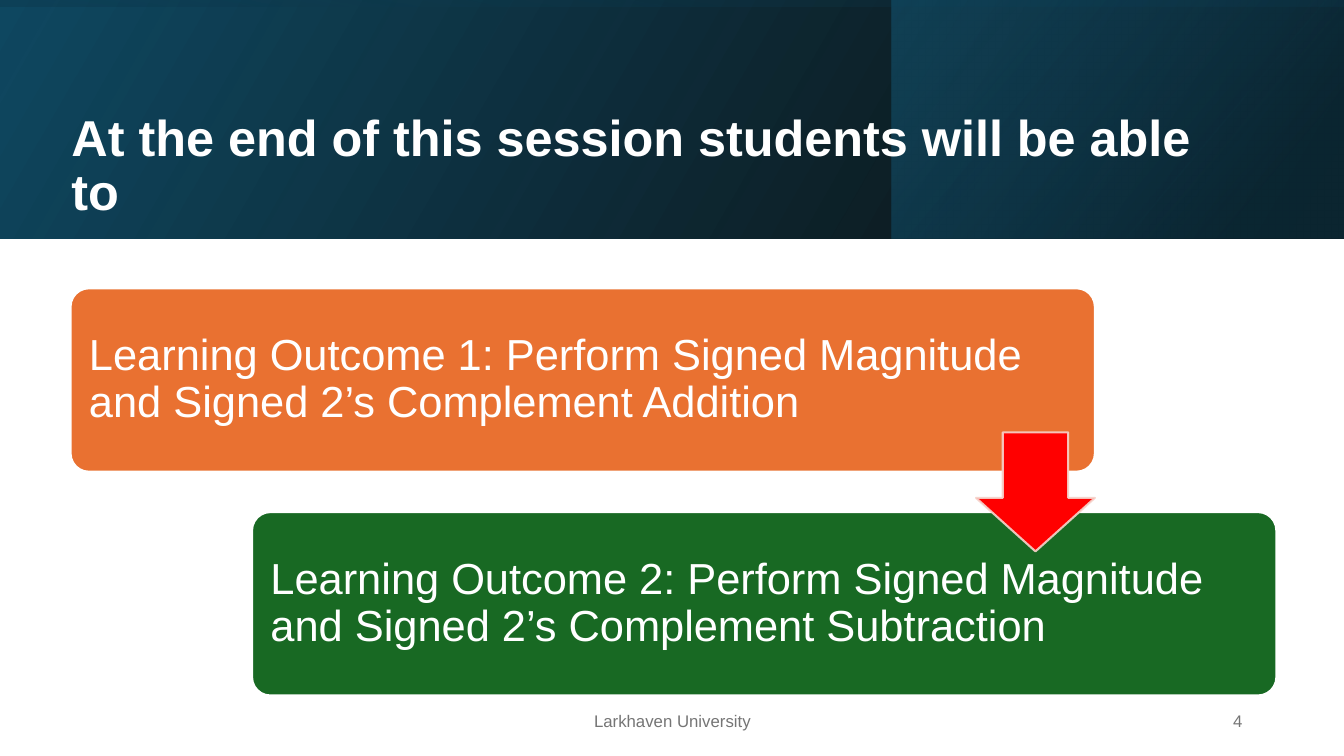
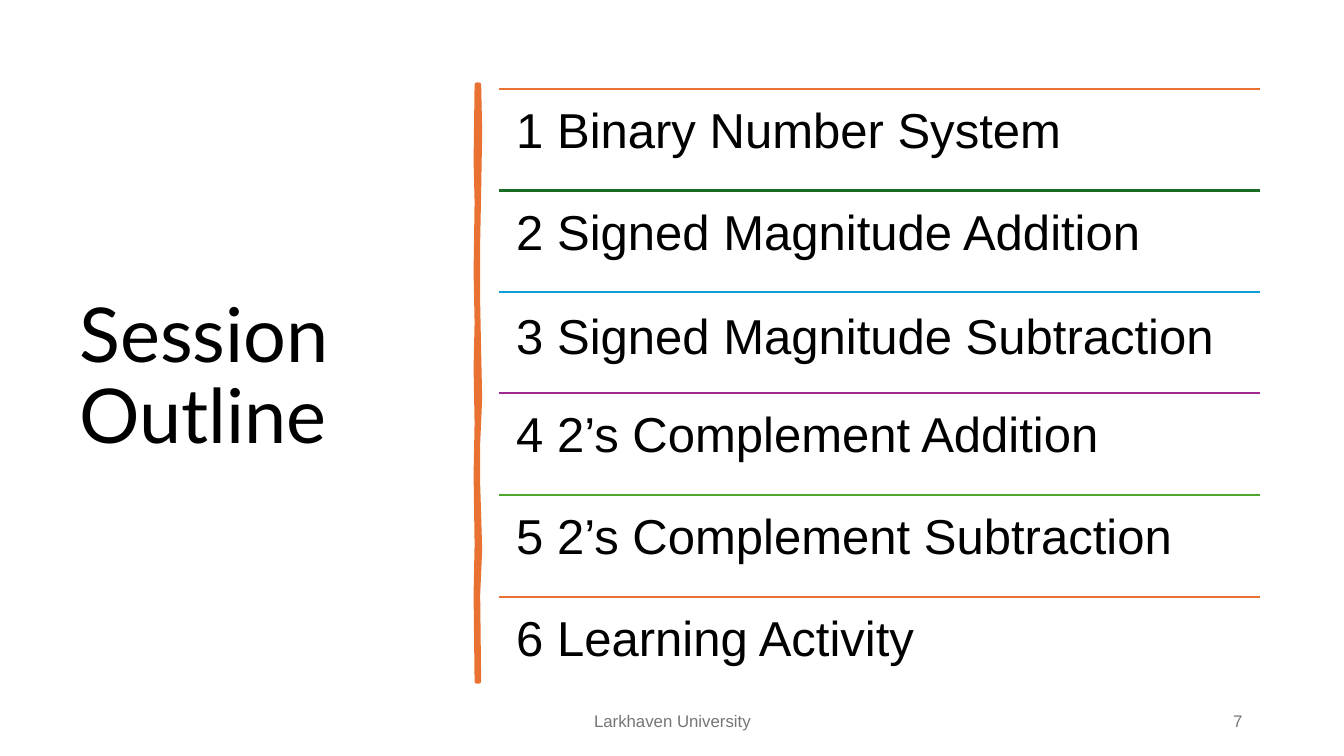
from pptx import Presentation
from pptx import util as u
from pptx.dml.color import RGBColor
from pptx.enum import shapes, text
from pptx.oxml import parse_xml
from pptx.oxml.ns import nsdecls, qn

PX = 9144
WIDE, HIGH = 1333, 750
WHITE, BLACK, GREY = "FFFFFF", "000000", "757575"
NAVY, DEEP, TEAL = "0F4861", "0A3041", "156082"
FLAME, FERN, RED, BLUSH = "E97131", "186923", "FF0000", "F6D4CC"
RULES = [FLAME, "176B22", "0C9ED5", "A02891", "4EA62C", FLAME]
SANS, HEAD = "Arial", "Lato"
FORM = shapes.MSO_SHAPE
SIDE = text.PP_ALIGN
MID, TOP = text.MSO_ANCHOR.MIDDLE, text.MSO_ANCHOR.TOP
OWNER = "Larkhaven University"

GOALS = [
    (70, 286, FLAME, "Learning Outcome 1: Perform Signed Magnitude and Signed 2’s Complement Addition"),
    (250, 508, FERN, "Learning Outcome 2: Perform Signed Magnitude and Signed 2’s Complement Subtraction"),
]
TOPICS = [
    ("1 Binary Number System", 0),
    ("2 Signed Magnitude Addition", 0),
    ("3 Signed Magnitude Subtraction", 3),
    ("4 2’s Complement Addition", 0),
    ("5 2’s Complement Subtraction", 0),
    ("6 Learning Activity", 0),
]
RIGHT = [(475, 84), (476, 130), (475, 190), (474, 240), (474, 300), (475, 350),
         (476, 395), (474, 440), (474, 480), (476, 545), (474, 590), (475, 676)]
LEFT = [(473, 676), (472, 590), (473, 540), (472, 470), (473, 420), (472, 365),
        (473, 320), (472, 270), (473, 200), (472, 160), (473, 84)]


def emu(*sizes):
    return [u.Emu(size * PX) for size in sizes]


def tint(code):
    return RGBColor.from_string(code)


def write(shape, words, size, hue, font=SANS, bold=False, side=SIDE.LEFT,
          lead=0.9, anchor=MID, pad=(10, 5)):
    frame = shape.text_frame
    frame.word_wrap = True
    frame.vertical_anchor = anchor
    frame.margin_left = frame.margin_right = u.Emu(pad[0] * PX)
    frame.margin_top = frame.margin_bottom = u.Emu(pad[1] * PX)
    frame.text = words
    para = frame.paragraphs[0]
    para.alignment, para.line_spacing = side, lead
    face = para.runs[0].font
    face.name, face.size, face.bold = font, u.Pt(size), bold
    face.color.rgb = tint(hue)


def label(slide, box, words, size, hue, **style):
    write(slide.shapes.add_textbox(*emu(*box)), words, size, hue, **style)


def paint(shape, fill, edge=None, width=1.5):
    shape.shadow.inherit = False
    shape.fill.solid()
    shape.fill.fore_color.rgb = tint(fill)
    if edge:
        shape.line.color.rgb = tint(edge)
        shape.line.width = u.Pt(width)
    else:
        shape.line.fill.background()


def block(slide, form, box, fill, edge, *bends):
    shape = slide.shapes.add_shape(form, *emu(*box))
    for spot, bend in enumerate(bends):
        shape.adjustments[spot] = bend
    paint(shape, fill, edge)
    return shape


def shade(slide, box, angle, stops, turn=0):
    shape = block(slide, FORM.RECTANGLE, box, NAVY, None)
    shape.rotation = turn
    props = shape.element.spPr
    props.xfrm.set("flipH", "1")
    marks = "".join(
        f'<a:gs pos="{spot * 1000}"><a:srgbClr val="{hue}">'
        f'<a:alpha val="{alpha * 1000}"/></a:srgbClr></a:gs>'
        for spot, hue, alpha in stops)
    blend = parse_xml(
        f'<a:gradFill {nsdecls("a")} rotWithShape="1"><a:gsLst>{marks}</a:gsLst>'
        f'<a:lin ang="{angle * 60000}" scaled="0"/></a:gradFill>')
    props.replace(props.find(qn("a:solidFill")), blend)


def rule(slide, left, top, right, hue):
    line = slide.shapes.add_connector(
        shapes.MSO_CONNECTOR.STRAIGHT, *emu(left, top, right, top))
    line.line.color.rgb = tint(hue)
    line.line.width = u.Pt(1.5)
    line.element.spPr.append(parse_xml(f'<a:effectLst {nsdecls("a")}/>'))


def brush(slide):
    pen = slide.shapes.build_freeform(*RIGHT[0], scale=float(PX))
    pen.add_line_segments(RIGHT[1:] + LEFT, close=True)
    stroke = pen.convert_to_shape()
    paint(stroke, "E97132", "E97132", 3.25)
    stroke.line._get_or_add_ln().append(parse_xml(f'<a:round {nsdecls("a")}/>'))


def foot(slide, page):
    label(slide, (442, 695, 450, 40), OWNER, 12, GREY, side=SIDE.CENTER, lead=1.0)
    label(slide, (942, 695, 300, 40), page, 12, GREY, side=SIDE.RIGHT, lead=1.0)


def band(slide):
    tall = 237
    shade(slide, (0, 0, WIDE, tall), 330, [(0, BLACK, 95), (100, NAVY, 100)])
    shade(slide, (884, 0, 449, tall), 320,
          [(0, DEEP, 67), (19, DEEP, 67), (100, TEAL, 47)])
    shift = (WIDE - tall) // 2
    shade(slide, (shift, -shift, tall, WIDE), 350,
          [(0, NAVY, 15), (23, NAVY, 15), (99, BLACK, 44), (100, BLACK, 44)], 270)


def goals(slide):
    band(slide)
    label(slide, (61, 121, 1153, 90),
          "At the end of this session students will be able to", 36, WHITE, bold=True)
    for left, top, fill, words in GOALS:
        card = block(slide, FORM.ROUNDED_RECTANGLE, (left, top, 1016, 182),
                     fill, WHITE, 0.1)
        write(card, words, 31, WHITE, pad=(13, 13))
    arrow = block(slide, FORM.DOWN_ARROW, (968, 429, 118, 118), RED, BLUSH, 0.55, 0.45)
    edge = arrow.element.spPr.find(qn("a:ln")).find(".//" + qn("a:srgbClr"))
    edge.append(parse_xml(f'<a:alpha {nsdecls("a")} val="89000"/>'))
    foot(slide, "4")


def outline(slide):
    label(slide, (69, 70, 374, 611), "Session Outline", 54, BLACK, font=HEAD)
    brush(slide)
    left, wide, first, step = 495, 755, 88, 100.8
    for row, ((words, drop), hue) in enumerate(zip(TOPICS, RULES)):
        top = first + round(row * step)
        rule(slide, left, top, left + wide, hue)
        label(slide, (left, top + drop, wide, 101), words, 35, BLACK,
              anchor=TOP, pad=(17, 17))
    foot(slide, "7")


def main():
    deck = Presentation()
    deck.slide_width, deck.slide_height = emu(WIDE, HIGH)
    for draw in (goals, outline):
        draw(deck.slides.add_slide(deck.slide_layouts[6]))
    deck.save("out.pptx")


if __name__ == "__main__":
    main()
